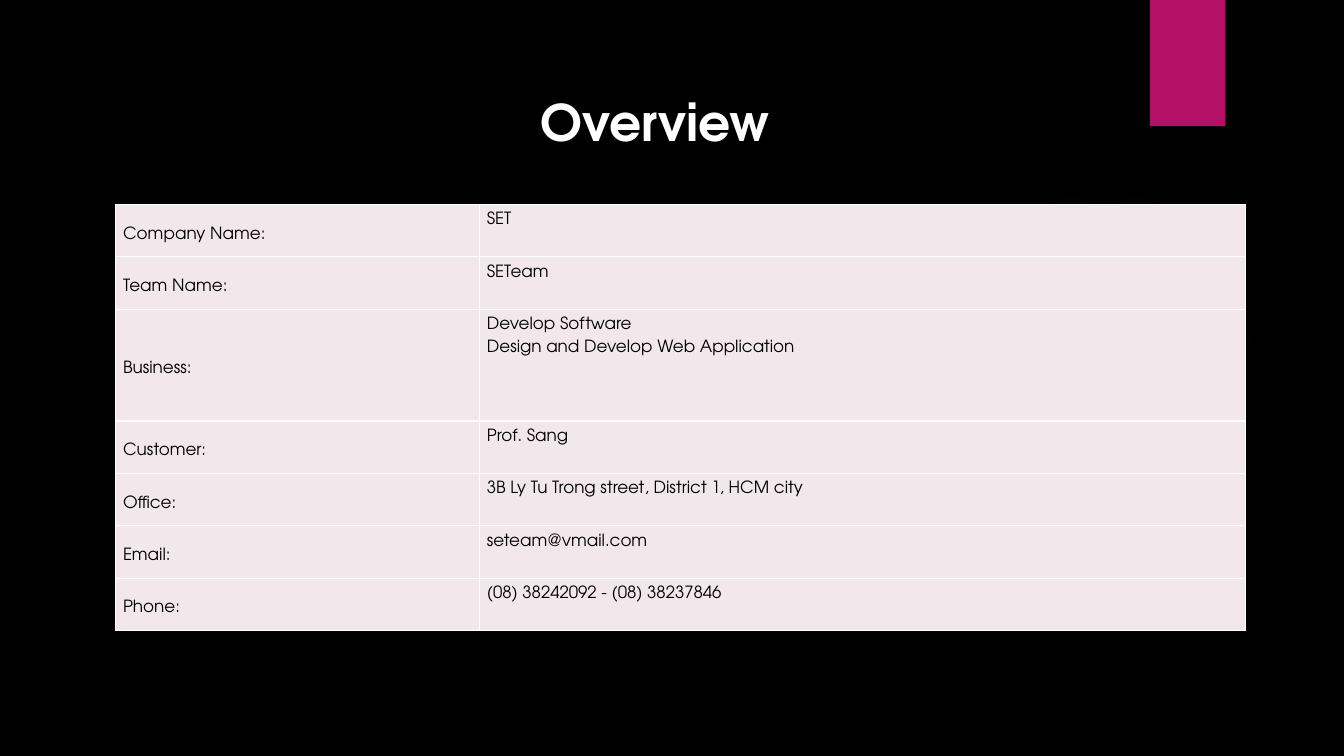
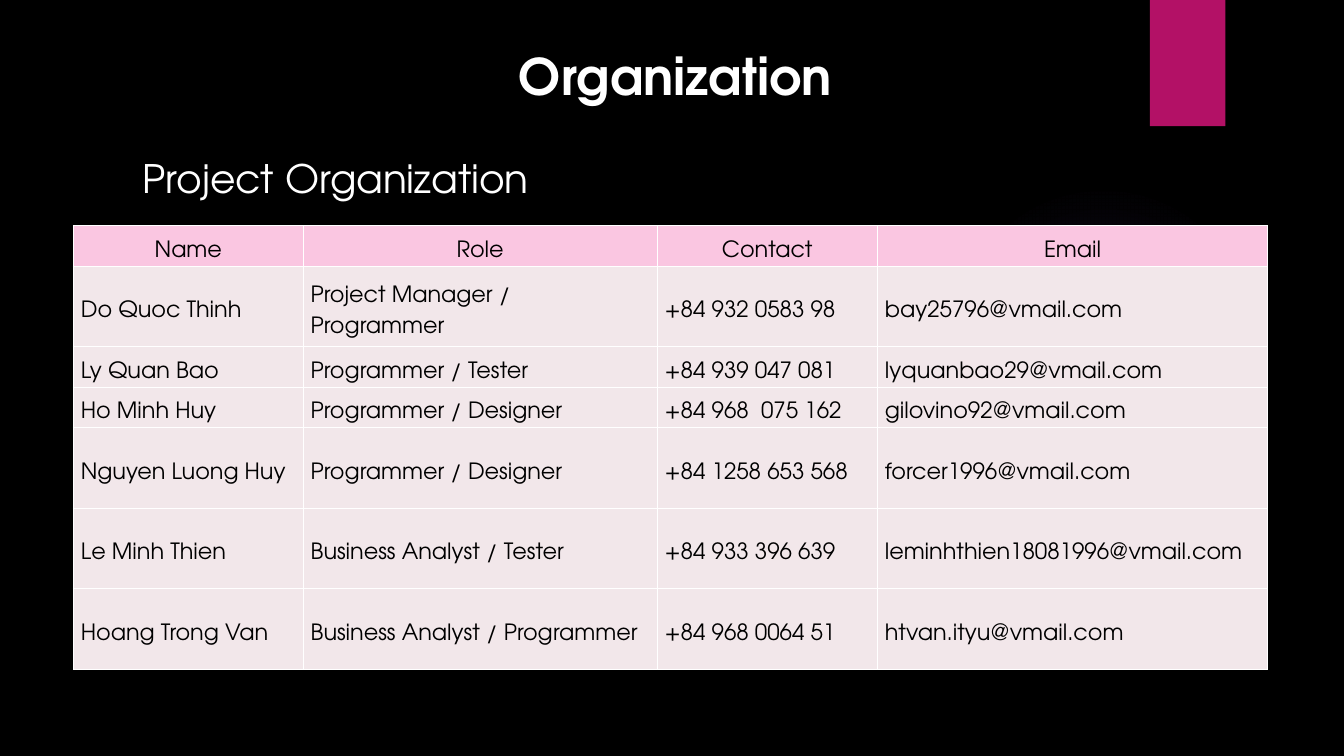
from lxml.etree import SubElement
from pptx import Presentation
from pptx.dml.color import RGBColor
from pptx.enum.shapes import MSO_SHAPE as Shape
from pptx.enum.text import MSO_ANCHOR as Anchor, PP_ALIGN as Align
from pptx.oxml import parse_xml
from pptx.oxml.ns import nsdecls, qn
from pptx.util import Cm, Pt

COLORS = {
    "black": "000000",
    "white": "FFFFFF",
    "ribbon": "B31166",
    "glow": "9B6BF2",
    "header": "FAC6E1",
    "cell": "F2E7EA",
}
FONT = "TeX Gyre Adventor"
GLOW_STOPS = [(0, 7), (36, 6), (69, 0)]


def rgb(name):
    return RGBColor.from_string(COLORS[name])


class Deck:
    def __init__(self):
        self.prs = Presentation()
        self.prs.slide_width, self.prs.slide_height = Cm(33.87), Cm(19.05)
        fill = self.prs.slide_master.background.fill
        fill.solid()
        fill.fore_color.rgb = rgb("black")
        self.s = None

    def slide(self):
        self.s = self.prs.slides.add_slide(self.prs.slide_layouts[6])
        self.glow()
        self.shape(Shape.RECTANGLE, 28.98, 0, 1.9, 3.18, "ribbon")

    def shape(self, kind, x, y, w, h, color):
        sp = self.s.shapes.add_shape(kind, Cm(x), Cm(y), Cm(w), Cm(h))
        sp.shadow.inherit = False
        sp.line.fill.background()
        sp.fill.solid()
        sp.fill.fore_color.rgb = rgb(color)
        return sp

    def glow(self):
        sp = self.shape(Shape.OVAL, 23.9, 4.65, 7.82, 7.82, "glow")
        stops = "".join(
            f'<a:gs pos="{pos * 1000}"><a:srgbClr val="{COLORS["glow"]}">'
            f'<a:alpha val="{alpha * 1000}"/></a:srgbClr></a:gs>'
            for pos, alpha in GLOW_STOPS
        )
        grad = parse_xml(
            f'<a:gradFill {nsdecls("a")}><a:gsLst>{stops}</a:gsLst>'
            '<a:path path="circle"><a:fillToRect l="50000" t="50000" '
            'r="50000" b="50000"/></a:path></a:gradFill>'
        )
        solid = sp.element.spPr.find(qn("a:solidFill"))
        solid.getparent().replace(solid, grad)

    def style(self, p, size, color, bold=False, align=Align.LEFT):
        p.alignment = align
        p.font.name, p.font.size, p.font.bold = FONT, Pt(size), bold
        p.font.color.rgb = rgb(color)

    def text(self, text, x, y, w, h, size, wrap=True, **style):
        tf = self.s.shapes.add_textbox(Cm(x), Cm(y), Cm(w), Cm(h)).text_frame
        tf.word_wrap = wrap
        tf.text = text
        self.style(tf.paragraphs[0], size, "white", **style)

    def title(self, text, x, y):
        self.text(text, x, y, 24.84, 11.66, 36, bold=True, align=Align.CENTER)

    def cell(self, cell, text, size, header, anchor):
        cell.margin_left = cell.margin_right = Cm(0.19)
        cell.margin_top = cell.margin_bottom = 0
        cell.vertical_anchor = anchor
        tcPr = cell._tc.get_or_add_tcPr()
        for side in ("a:lnL", "a:lnR", "a:lnT", "a:lnB"):
            ln = SubElement(tcPr, qn(side), w=str(Pt(1)))
            SubElement(SubElement(ln, qn("a:solidFill")), qn("a:srgbClr"), val=COLORS["white"])
        cell.fill.solid()
        cell.fill.fore_color.rgb = rgb("header" if header else "cell")
        cell.text = text
        for p in cell.text_frame.paragraphs:
            self.style(p, size, "black", align=Align.CENTER if header else Align.LEFT)
            p.line_spacing = 1.5

    def table(self, rows, x, y, widths, heights, size, header=False, anchors=None):
        anchors = anchors or [Anchor.MIDDLE] * len(widths)
        frame = self.s.shapes.add_table(
            len(rows), len(widths), Cm(x), Cm(y), Cm(sum(widths)), Cm(sum(heights))
        )
        table = frame.table
        table.first_row, table.horz_banding = header, False
        for column, width in zip(table.columns, widths):
            column.width = Cm(width)
        for i, (row, height) in enumerate(zip(rows, heights)):
            table.rows[i].height = Cm(height)
            for j, text in enumerate(row):
                self.cell(table.cell(i, j), text, size, header and i == 0, anchors[j])


def overview(deck):
    deck.slide()
    deck.title("Overview", 4.09, 2.16)
    facts = [
        ("Company Name:", "SET"),
        ("Team Name:", "SETeam"),
        ("Business:", "Develop Software\nDesign and Develop Web Application"),
        ("Customer:", "Prof. Sang"),
        ("Office:", "3B Ly Tu Trong street, District 1, HCM city"),
        ("Email:", "seteam@vmail.com"),
        ("Phone:", "(08) 38242092 - (08) 38237846"),
    ]
    heights = [2.82 if "\n" in value else 1.32 for _, value in facts]
    deck.table(facts, 2.91, 5.15, [9.17, 19.3], heights, 12,
               anchors=[Anchor.MIDDLE, Anchor.TOP])


def organization(deck):
    deck.slide()
    deck.title("Organization", 4.6, 1.02)
    deck.text("Project Organization", 3.35, 3.76, 10.34, 1.45, 28, wrap=False)
    members = [
        ("Name", "Role", "Contact", "Email"),
        ("Do Quoc Thinh", "Project Manager / Programmer", "+84 932 0583 98", "bay25796@vmail.com"),
        ("Ly Quan Bao", "Programmer / Tester", "+84 939 047 081", "lyquanbao29@vmail.com"),
        ("Ho Minh Huy", "Programmer / Designer", "+84 968  075 162", "gilovino92@vmail.com"),
        ("Nguyen Luong Huy", "Programmer / Designer", "+84 1258 653 568", "forcer1996@vmail.com"),
        ("Le Minh Thien", "Business Analyst / Tester", "+84 933 396 639", "leminhthien18081996@vmail.com"),
        ("Hoang Trong Van", "Business Analyst / Programmer", "+84 968 0064 51", "htvan.ityu@vmail.com"),
    ]
    single, double = 1.02, 2.03
    heights = [single, double, single, single, double, double, double]
    deck.table(members, 1.85, 5.69, [5.79, 8.92, 5.55, 9.84], heights, 16, header=True)


def main():
    deck = Deck()
    overview(deck)
    organization(deck)
    deck.prs.save("out.pptx")


if __name__ == "__main__":
    main()
